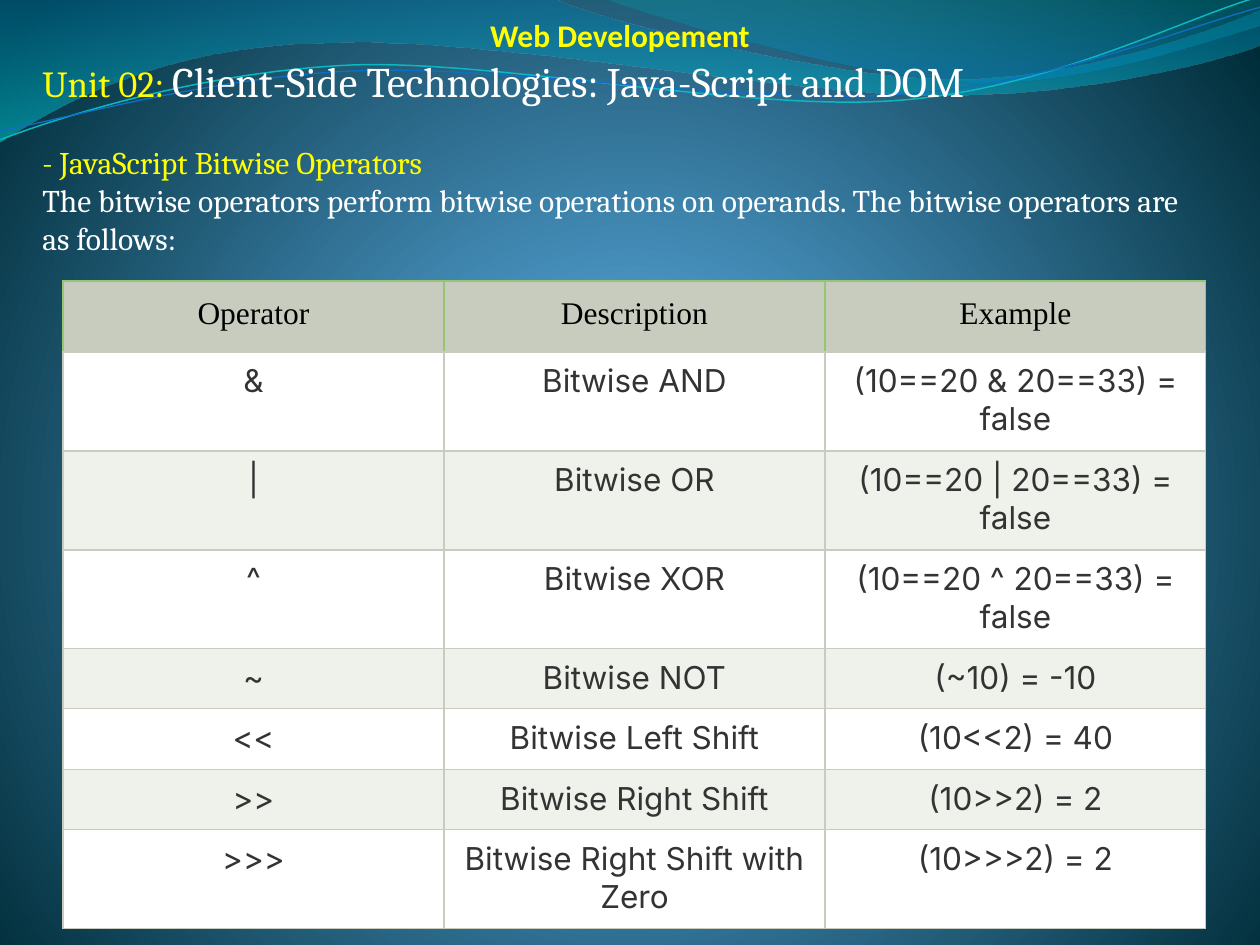
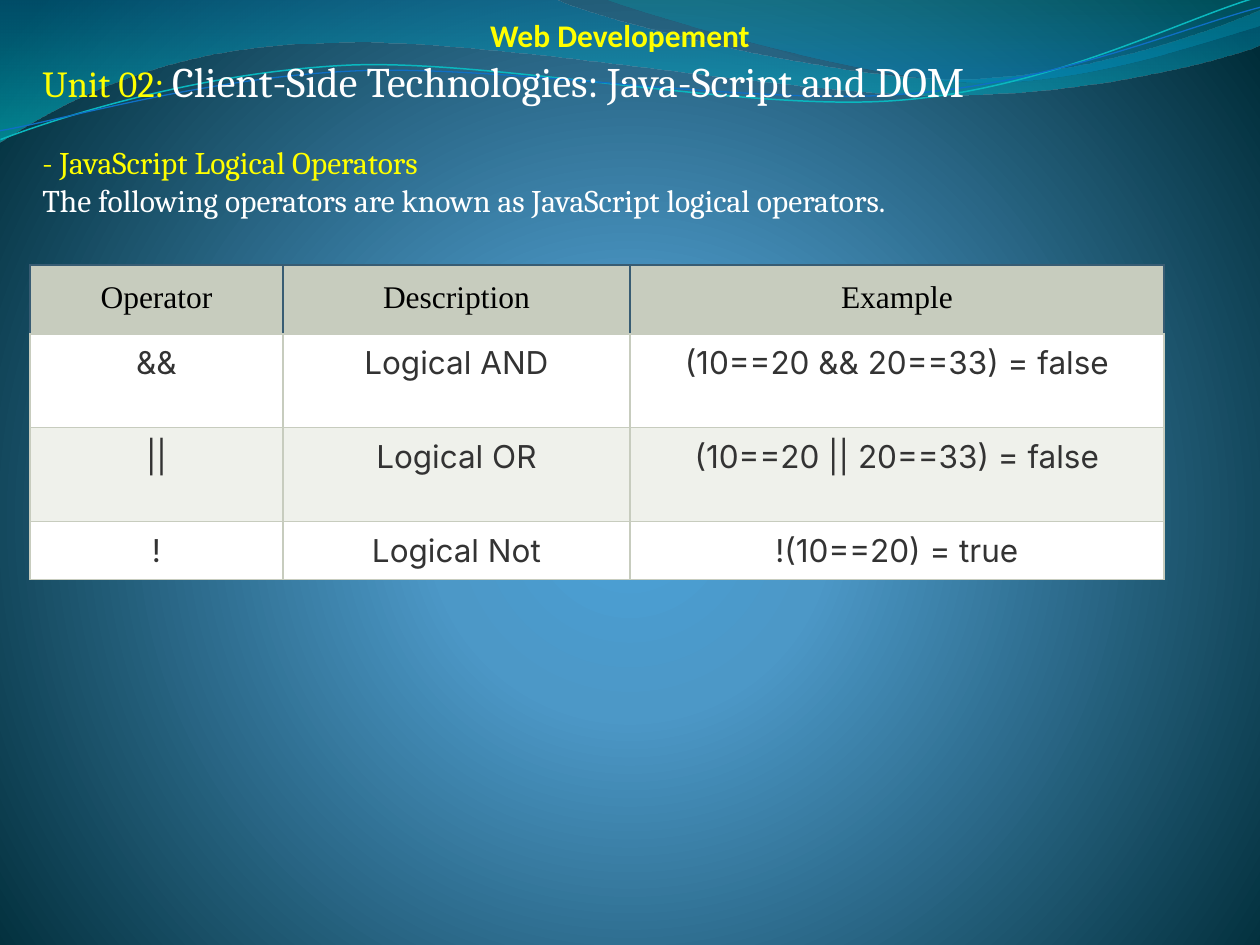
import lxml.etree
import pptx
import pptx.dml.color
import pptx.enum.text
import pptx.oxml
import pptx.oxml.ns
import pptx.util

PX = 914400 / 126
COLORS = {
    "yellow": "FFFF00", "white": "FFFFFF", "black": "000000", "text": "333333",
    "header": "C7CCBE", "band": "EFF1EB", "green": "98C572", "slate": "385C73",
    "cyan": "0AB8BF", "blue": "0F6FC6",
}
BACKGROUND_STOPS = [(0, "4AA0D6", 100), (25, "4C98C7", 100), (100, "002C38", 100)]
BACKGROUND_DIRECTION = (
    '<a:path path="circle"><a:fillToRect l="10000" t="110000" r="10000" b="100000"/></a:path>'
)
DOWNWARD = '<a:lin ang="5400000" scaled="0"/>'
WAVE_LINE_ROTATION = 357.3

WAVE_BANDS = [
    ([(0, 0),
      [(554, -1)],
      [(600, 21), (837, 79), (955, 79)],
      [(1075, 79), (1207, 33), (1260, 11)],
      [(1261, 45)],
      [(1239, 55), (1096, 96), (940, 95)],
      [(784, 95), (481, 35), (324, 43)],
      [(163, 45), (58, 105), (-1, 142)]],
     [(0, "0074A1", 45), (100, "00C6CF", 55)]),
    ([(604, -1),
      [(641, 14), (859, 78), (969, 82)],
      [(1079, 87), (1211, 40), (1260, 26)],
      [(1260, 0)]],
     [(0, "00A1A9", 30), (80, "008BBF", 45)]),
]
WAVE_LINES = [
    ([(-2, 110),
      [(59, 90), (200, 52), (350, 52)],
      [(498, 53), (745, 118), (897, 113)],
      [(1048, 109), (1184, 45), (1260, 27)]],
     "cyan", 0.85),
    ([(-2, 101),
      [(58, 94), (207, 57), (357, 58)],
      [(508, 59), (751, 112), (902, 107)],
      [(1052, 104), (1187, 53), (1263, 37)]],
     "blue", 0.75),
]

HEADINGS = ["Operator", "Description", "Example"]
SLIDES = [
    {
        "topic": "- JavaScript Bitwise Operators",
        "intro": "The bitwise operators perform bitwise operations on operands. "
                 "The bitwise operators are as follows:",
        "position": (63, 281),
        "columns": [381] * 3,
        "rows": [71, 99, 99, 99, 60, 61, 60, 99],
        "header_border": "green",
        "operators": [
            ["&", "Bitwise AND", "(10==20 & 20==33) = false"],
            ["|", "Bitwise OR", "(10==20 | 20==33) = false"],
            ["^", "Bitwise XOR", "(10==20 ^ 20==33) = false"],
            ["~", "Bitwise NOT", "(~10) = -10"],
            ["<<", "Bitwise Left Shift", "(10<<2) = 40"],
            [">>", "Bitwise Right Shift", "(10>>2) = 2"],
            [">>>", "Bitwise Right Shift with Zero", "(10>>>2) = 2"],
        ],
    },
    {
        "topic": "- JavaScript Logical Operators",
        "intro": "The following operators are known as JavaScript logical operators.",
        "position": (30, 265),
        "columns": [253, 347, 534],
        "rows": [69, 94, 94, 58],
        "header_border": "slate",
        "operators": [
            ["&&", "Logical AND", "(10==20 && 20==33) = false"],
            ["||", "Logical OR", "(10==20 || 20==33) = false"],
            ["!", "Logical Not", "!(10==20) = true"],
        ],
    },
]


def px(length):
    return pptx.util.Emu(round(length * PX))


def rgb(name):
    return pptx.dml.color.RGBColor.from_string(COLORS[name])


def apply_format(target, **values):
    for name, value in values.items():
        setattr(target, name, value)


def add_run(paragraph, text, font, size, color, bold=False):
    run = paragraph.add_run()
    run.text = text
    apply_format(run.font, name=font, size=pptx.util.Pt(size), bold=bold)
    run.font.color.rgb = rgb(color)


def set_gradient(fill, element, stops, direction):
    fill.gradient()
    stop_xml = "".join(
        f'<a:gs pos="{place * 1000}"><a:srgbClr val="{color}">'
        f'<a:alpha val="{opacity * 1000}"/></a:srgbClr></a:gs>'
        for place, color, opacity in stops
    )
    gradient = pptx.oxml.parse_xml(
        f'<a:gradFill {pptx.oxml.ns.nsdecls("a")} rotWithShape="1">'
        f"<a:gsLst>{stop_xml}</a:gsLst>{direction}</a:gradFill>"
    )
    default = next(element.iter(pptx.oxml.ns.qn("a:gradFill")))
    default.getparent().replace(default, gradient)


def bend_segments(shape, segments):
    lines = iter(list(shape.element.iter(pptx.oxml.ns.qn("a:lnTo"))))
    for segment in segments:
        parts = [next(lines) for _ in segment]
        if len(parts) == 3:
            curve = lxml.etree.Element(pptx.oxml.ns.qn("a:cubicBezTo"))
            parts[0].addprevious(curve)
            for part in parts:
                curve.append(part[0])
                part.getparent().remove(part)


def add_outline(slide, outline, close):
    start, *segments = outline
    points = [(px(x), px(y)) for segment in segments for x, y in segment]
    builder = slide.shapes.build_freeform(px(start[0]), px(start[1]))
    builder.add_line_segments(points, close=close)
    shape = builder.convert_to_shape()
    bend_segments(shape, segments)
    shape.shadow.inherit = False
    return shape


def add_waves(slide):
    for outline, stops in WAVE_BANDS:
        shape = add_outline(slide, outline, close=True)
        set_gradient(shape.fill, shape.element, stops, DOWNWARD)
        shape.line.fill.background()
        yield shape
    for outline, color, width in WAVE_LINES:
        shape = add_outline(slide, outline, close=False)
        shape.rotation = WAVE_LINE_ROTATION
        shape.fill.background()
        shape.line.color.rgb = rgb(color)
        shape.line.width = pptx.util.Pt(width)
        yield shape


def move_to_master(master, shapes):
    for number, shape in enumerate(list(shapes), start=20):
        shape.element.nvSpPr.cNvPr.set("id", str(number))
        master.shapes.element.append(shape.element)


def fill_title(slide):
    title = slide.shapes.title
    apply_format(title, left=px(226), top=px(10), width=px(788), height=px(50))
    apply_format(title.text_frame, word_wrap=True,
                 auto_size=pptx.enum.text.MSO_AUTO_SIZE.NONE,
                 vertical_anchor=pptx.enum.text.MSO_ANCHOR.TOP)
    paragraph = title.text_frame.paragraphs[0]
    paragraph.alignment = pptx.enum.text.PP_ALIGN.CENTER
    add_run(paragraph, "Web Developement", "Calibri", 18, "yellow", bold=True)


def add_unit_text(slide, topic, intro):
    frame = slide.shapes.add_textbox(px(30), px(49), px(1162), px(375)).text_frame
    frame.word_wrap = True
    unit = frame.paragraphs[0]
    add_run(unit, "Unit 02: ", "Cambria", 21, "yellow")
    add_run(unit, "Client-Side Technologies: Java-Script and DOM", "Cambria", 24, "white")
    heading = frame.add_paragraph()
    heading.space_before = pptx.util.Pt(21.6)
    add_run(heading, topic, "Cambria", 18, "yellow")
    add_run(frame.add_paragraph(), intro, "Cambria", 18, "white")


def set_borders(cell, side_color):
    properties = cell._tc.get_or_add_tcPr()
    for side in ("L", "R", "T", "B"):
        color = "header" if side == "B" else side_color
        line = lxml.etree.SubElement(
            properties, pptx.oxml.ns.qn(f"a:ln{side}"), w=str(pptx.util.Pt(0.75)))
        fill = lxml.etree.SubElement(line, pptx.oxml.ns.qn("a:solidFill"))
        lxml.etree.SubElement(fill, pptx.oxml.ns.qn("a:srgbClr"), val=COLORS[color])


def fill_cell(cell, text, font, color, background, border, margin):
    set_borders(cell, border)
    cell.fill.solid()
    cell.fill.fore_color.rgb = rgb(background)
    sides = ("left", "top", "right", "bottom")
    apply_format(cell, **{f"margin_{side}": px(margin) for side in sides})
    paragraph = cell.text_frame.paragraphs[0]
    paragraph.alignment = pptx.enum.text.PP_ALIGN.CENTER
    add_run(paragraph, text, font, 18, color)


def add_operator_table(slide, position, columns, rows, header_border, operators):
    left, top = position
    table = slide.shapes.add_table(
        len(rows), len(columns), px(left), px(top), px(sum(columns)), px(sum(rows))).table
    apply_format(table, first_row=False, horz_banding=False)
    for column, width in zip(table.columns, columns):
        column.width = px(width)
    for row, height in zip(table.rows, rows):
        row.height = px(height)
    for index, texts in enumerate([HEADINGS, *operators]):
        if index == 0:
            style = ("Times New Roman", "black", "header", header_border, 15)
        else:
            style = ("Inter", "text", "white" if index % 2 else "band", "header", 10)
        for cell, text in zip(table.rows[index].cells, texts):
            fill_cell(cell, text, *style)


def main():
    presentation = pptx.Presentation()
    apply_format(presentation, slide_width=px(1260), slide_height=px(945))
    master = presentation.slide_master
    set_gradient(master.background.fill, master.element, BACKGROUND_STOPS, BACKGROUND_DIRECTION)
    title_only = presentation.slide_layouts[5]
    for content in SLIDES:
        slide = presentation.slides.add_slide(title_only)
        fill_title(slide)
        add_unit_text(slide, content["topic"], content["intro"])
        add_operator_table(slide, content["position"], content["columns"], content["rows"],
                           content["header_border"], content["operators"])
    move_to_master(master, add_waves(presentation.slides[0]))
    presentation.save("out.pptx")


if __name__ == "__main__":
    main()
